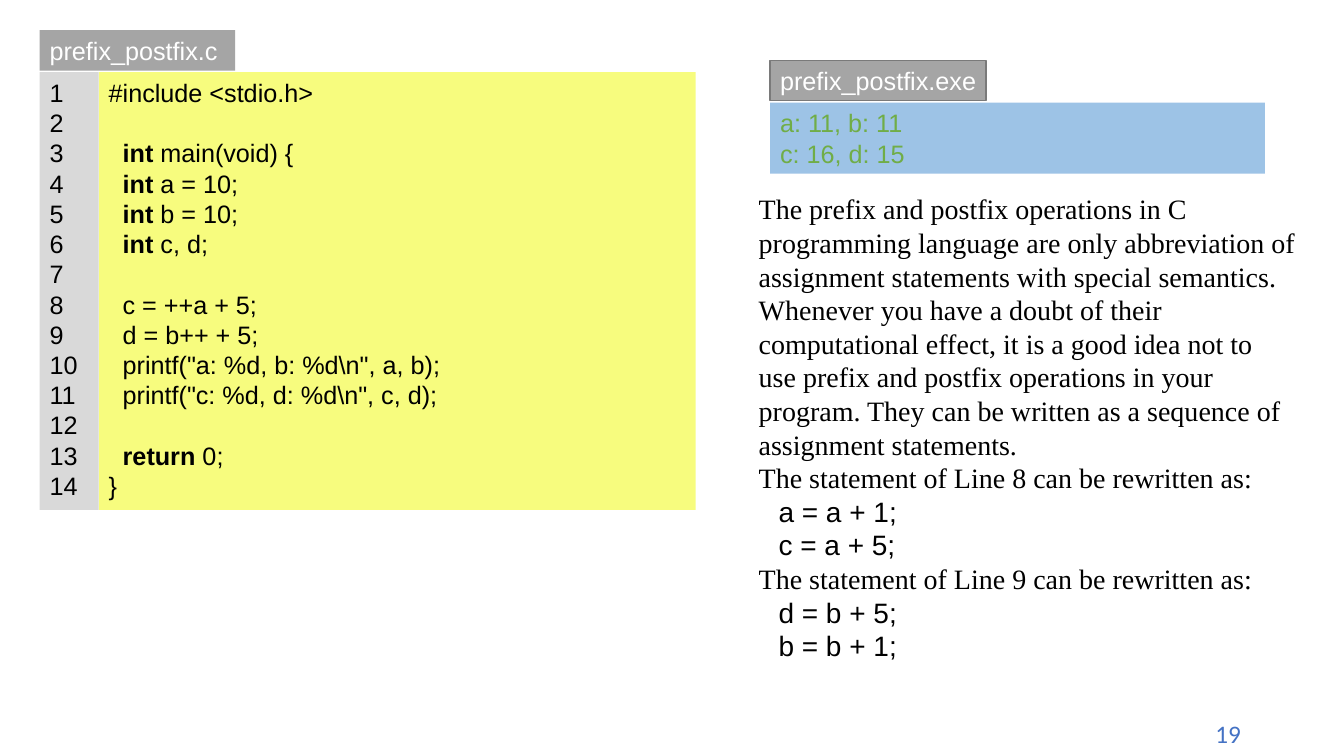
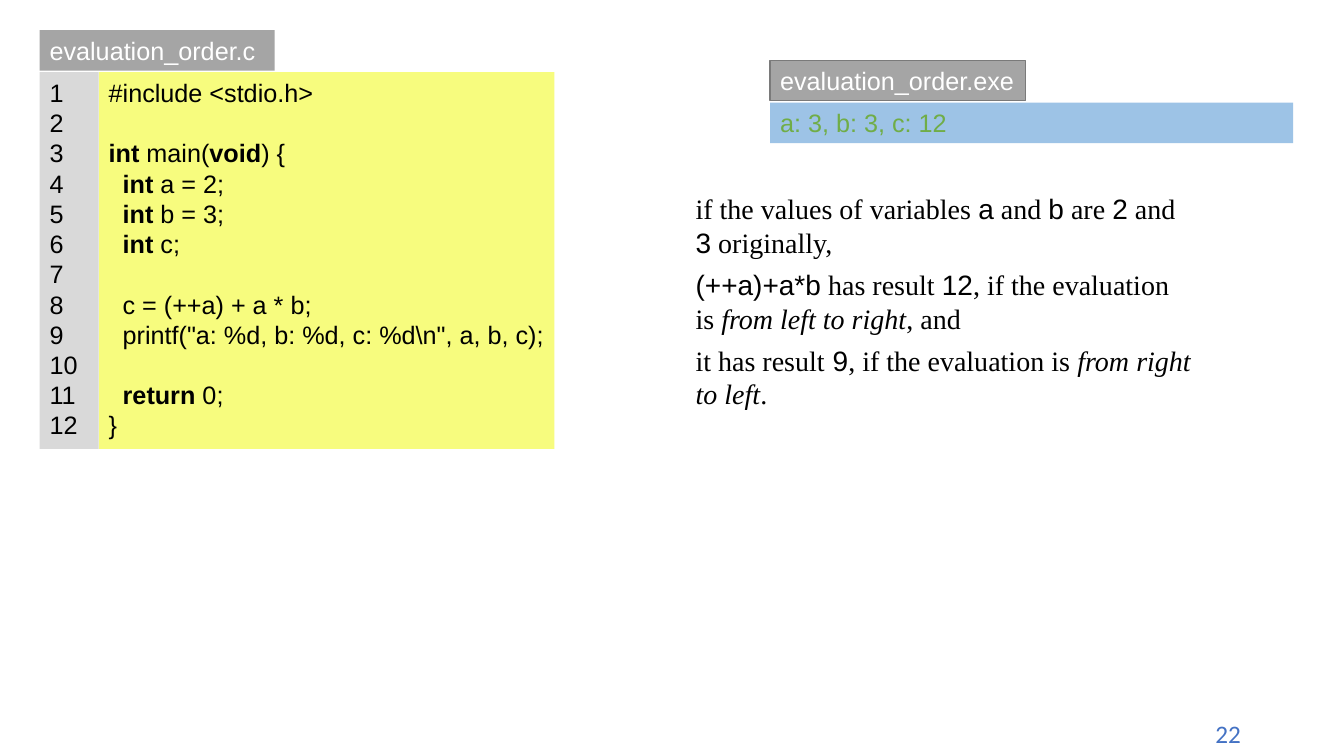
from dataclasses import dataclass
from lxml.etree import SubElement as Sub
from pptx import Presentation as Deck
from pptx.dml.color import RGBColor as Rgb
from pptx.enum.shapes import MSO_SHAPE as Kind
from pptx.enum.text import MSO_ANCHOR as Anchor, PP_ALIGN as Align
from pptx.oxml.ns import qn
from pptx.util import Cm, Pt


@dataclass(frozen=True)
class Theme:
    ink: str = "000000"
    white: str = "FFFFFF"
    tab: str = "A5A5A5"
    edge: str = "7A7A7A"
    code: str = "F7FC7E"
    rail: str = "D9D9D9"
    out: str = "9DC3E6"
    green: str = "70AD47"
    blue: str = "4472C4"
    sans: str = "Arial"
    serif: str = "Times New Roman"
    plain: str = "Calibri"
    small: int = 18
    large: int = 20
    row: float = 0.77
    pad: float = 0.25


LOOK = Theme()
MARKS = {
    "|": {"bold": True},
    "`": {"name": LOOK.sans},
    "~": {"italic": True},
}


def split(line):
    live, text = [], ""
    for char in line:
        if char not in MARKS:
            text += char
            continue
        if text:
            yield text, live
        live = [m for m in live if m != char] if char in live else live + [char]
        text = ""
    if text:
        yield text, live


class Page:
    def __init__(self, deck, look):
        self.look = look
        self.slide = deck.slides.add_slide(deck.slide_layouts[6])

    def fill_text(self, shape, lines, size, name, color, align=Align.LEFT, gap=0):
        frame = shape.text_frame
        for key, value in {"word_wrap": True, "vertical_anchor": Anchor.TOP}.items():
            setattr(frame, key, value)
        for spot, (line, inset) in enumerate(lines):
            para = frame.add_paragraph() if spot else frame.paragraphs[0]
            para.alignment = align
            if spot and gap:
                para.space_before = Pt(gap)
            if inset:
                para._p.get_or_add_pPr().set("marL", str(Cm(inset)))
            base = {"size": Pt(size), "name": name}
            for text, marks in split(line):
                run = para.add_run()
                run.text = text
                form = dict(base)
                for mark in marks:
                    form.update(MARKS[mark])
                for key, value in form.items():
                    setattr(run.font, key, value)
                run.font.color.rgb = Rgb.from_string(color)
            if not line:
                end = Sub(para._p, qn("a:endParaRPr"), sz=str(size * 100))
                Sub(end, qn("a:latin"), typeface=name)

    def block(self, left, top, width, lines, fill, color, edge=None):
        look = self.look
        high = len(lines) * look.row + look.pad
        shape = self.slide.shapes.add_shape(
            Kind.RECTANGLE, Cm(left), Cm(top), Cm(width), Cm(high))
        shape.shadow.inherit = False
        shape.fill.solid()
        shape.fill.fore_color.rgb = Rgb.from_string(fill)
        if edge:
            shape.line.color.rgb = Rgb.from_string(edge)
            shape.line.width = Pt(1)
        else:
            shape.line.fill.background()
        shape.text_frame.margin_right = 0
        self.fill_text(shape, [(line, 0) for line in lines], look.small, look.sans, color)

    def code(self, name, wide, width, lines):
        look = self.look
        nums = [str(n + 1) for n in range(len(lines))]
        self.block(1, 0.76, wide, [name], look.tab, look.white)
        self.block(2.49, 1.82, width, lines, look.code, look.ink)
        self.block(1, 1.82, 1.49, nums, look.rail, look.ink)

    def output(self, name, wide, width, lines):
        look = self.look
        self.block(19.41, 2.59, width, lines, look.out, look.green)
        self.block(19.41, 1.52, wide, [name], look.tab, look.white, look.edge)

    def box(self, left, top, width, high):
        return self.slide.shapes.add_textbox(Cm(left), Cm(top), Cm(width), Cm(high))

    def prose(self, left, high, lines, gap=0):
        look = self.look
        shape = self.box(left, 4.71, 14.07, high)
        self.fill_text(shape, lines, look.large, look.serif, look.ink, gap=gap)

    def number(self, num):
        look = self.look
        shape = self.box(27.53, 17.98, 3.99, 1.02)
        self.fill_text(shape, [(str(num), 0)], look.small, look.plain, look.blue, Align.RIGHT)


def prefix(deck):
    page = Page(deck, LOOK)
    page.number(19)
    page.code("prefix_postfix.c", 4.93, 15.04, [
        "#include <stdio.h>",
        "",
        "  |int |main(void) {",
        "  |int |a = 10;",
        "  |int |b = 10;",
        "  |int |c, d;",
        "",
        "  c = ++a + 5;",
        "  d = b++ + 5;",
        '  printf("a: %d, b: %d\\n", a, b);',
        '  printf("c: %d, d: %d\\n", c, d);',
        "",
        "  |return |0;",
        "}",
    ])
    page.output("prefix_postfix.exe", 5.44, 12.47, ["a: 11, b: 11", "c: 16, d: 15"])
    page.prose(18.87, 12.22, [
        ("The prefix and postfix operations in C programming language are only "
         "abbreviation of assignment statements with special semantics. Whenever "
         "you have a doubt of their computational effect, it is a good idea not to "
         "use prefix and postfix operations in your program. They can be written "
         "as a sequence of assignment statements.", 0),
        ("The statement of Line 8 can be rewritten as:", 0),
        ("`a = a + 1;`", 0.5),
        ("`c = a + 5;`", 0.5),
        ("The statement of Line 9 can be rewritten as:", 0),
        ("`d = b + 5;`", 0.5),
        ("`b = b + 1;`", 0.5),
    ])


def order(deck):
    page = Page(deck, LOOK)
    page.number(22)
    page.code("evaluation_order.c", 5.92, 11.48, [
        "#include <stdio.h>",
        "",
        "|int |main(|void|) {",
        "  |int |a = 2;",
        "  |int |b = 3;",
        "  |int |c;",
        "",
        "  c = (++a) + a * b;",
        '  printf("a: %d, b: %d, c: %d\\n", a, b, c);',
        "",
        "  |return |0;",
        "}",
    ])
    page.output("evaluation_order.exe", 6.43, 13.18, ["a: 3, b: 3, c: 12"])
    page.prose(16.28, 5.82, [
        ("if the values of variables `a` and `b` are `2` and `3` originally,", 1),
        ("`(++a)+a*b` has result `12`, if the evaluation is ~from left to right~, and", 1),
        ("it has result` 9`, if the evaluation is ~from right to left~.", 1),
    ], gap=6)


def main():
    deck = Deck()
    deck.slide_width, deck.slide_height = Cm(33.87), Cm(19.05)
    for build in (prefix, order):
        build(deck)
    deck.save("out.pptx")


if __name__ == "__main__":
    main()
